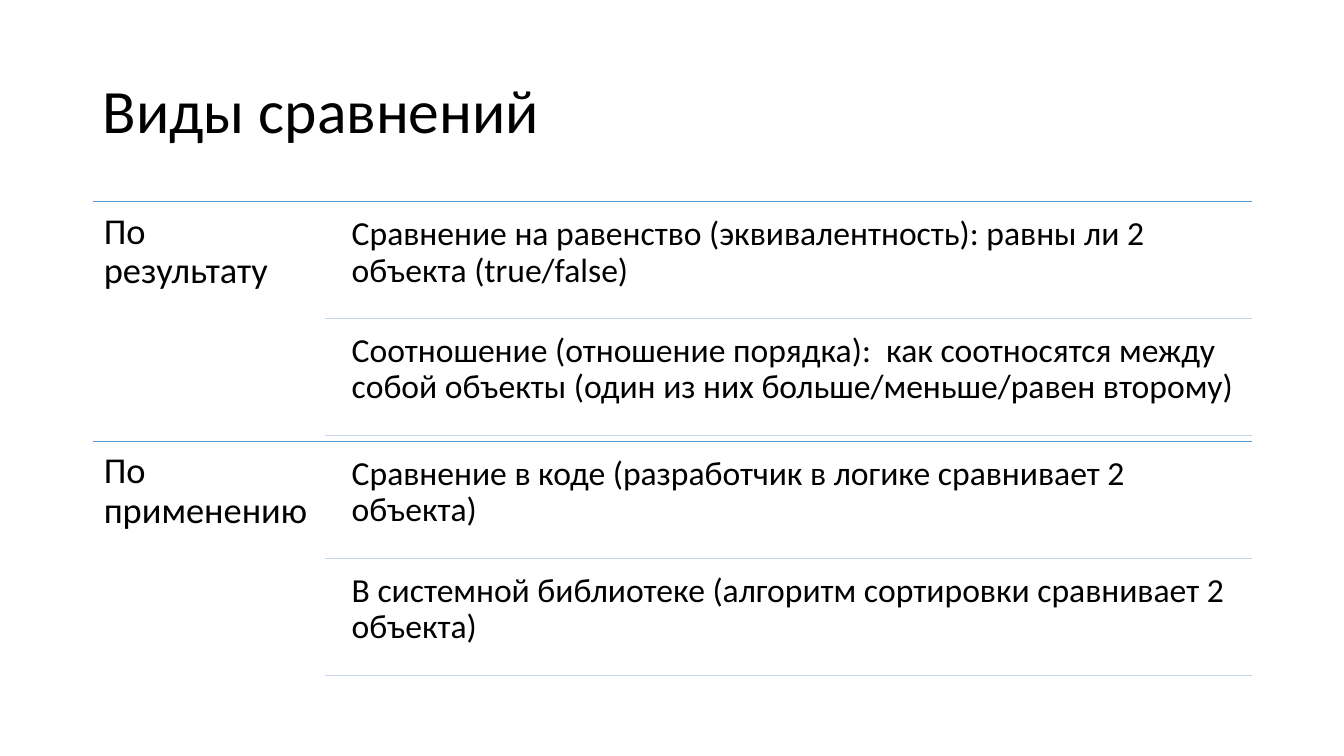
from lxml.etree import SubElement
from pptx import Presentation
from pptx.dml.color import RGBColor
from pptx.enum.shapes import MSO_CONNECTOR
from pptx.enum.text import MSO_ANCHOR
from pptx.oxml.ns import qn
from pptx.util import Inches, Pt

deck = Presentation()
deck.slide_width = Inches(13.33)
deck.slide_height = Inches(7.5)
slide = deck.slides.add_slide(deck.slide_layouts[6])


def add_text(text, left, top, width, height, size, inset, anchor=MSO_ANCHOR.TOP):
    box = slide.shapes.add_textbox(Inches(left), Inches(top), Inches(width), Inches(height))
    frame = box.text_frame
    frame.word_wrap = True
    frame.vertical_anchor = anchor
    frame.margin_left = frame.margin_right = Inches(inset)
    frame.margin_top = frame.margin_bottom = Inches(inset)
    frame.text = text
    par = frame.paragraphs[0]
    par.line_spacing = 0.9
    par.font.size = Pt(size)
    par.font.name = "Calibri"
    par.font.color.rgb = RGBColor.from_string("000000")


def add_rule(left, top, color):
    rule = slide.shapes.add_connector(
        MSO_CONNECTOR.STRAIGHT, Inches(left), Inches(top), Inches(RIGHT), Inches(top))
    rule.line.color.rgb = RGBColor.from_string(color)
    rule.line.width = Pt(1)
    SubElement(rule._element.spPr, qn("a:effectLst"))


LEFT, RIGHT = 0.92, 12.42
TOP, GROUP = 2, 2.38
LABEL, INDENT = 2.3, 0.17
ROW, GAP = 1.11, 0.05

groups = [
    ("По результату", [
        "Сравнение на равенство (эквивалентность): равны ли 2 объекта (true/false)",
        "Соотношение (отношение порядка):  как соотносятся между собой объекты "
        "(один из них больше/меньше/равен второму)",
    ]),
    ("По применению", [
        "Сравнение в коде (разработчик в логике сравнивает 2 объекта)",
        "В системной библиотеке (алгоритм сортировки сравнивает 2 объекта)",
    ]),
]

add_text("Виды сравнений", LEFT, 0.4, RIGHT - LEFT, 1.45, 44, 0.1, MSO_ANCHOR.MIDDLE)

split = LEFT + LABEL
start = split + INDENT
for i, (label, items) in enumerate(groups):
    top = TOP + i * GROUP
    add_rule(LEFT, top, "5B9BD5")
    add_text(label, LEFT, top, LABEL, GROUP, 26, 0.11)
    for j, item in enumerate(items):
        y = top + GAP + j * (ROW + GAP)
        add_text(item, start, y, RIGHT - start, ROW, 24, 0.1)
        add_rule(split, y + ROW, "C4D5EB")

deck.save("out.pptx")
